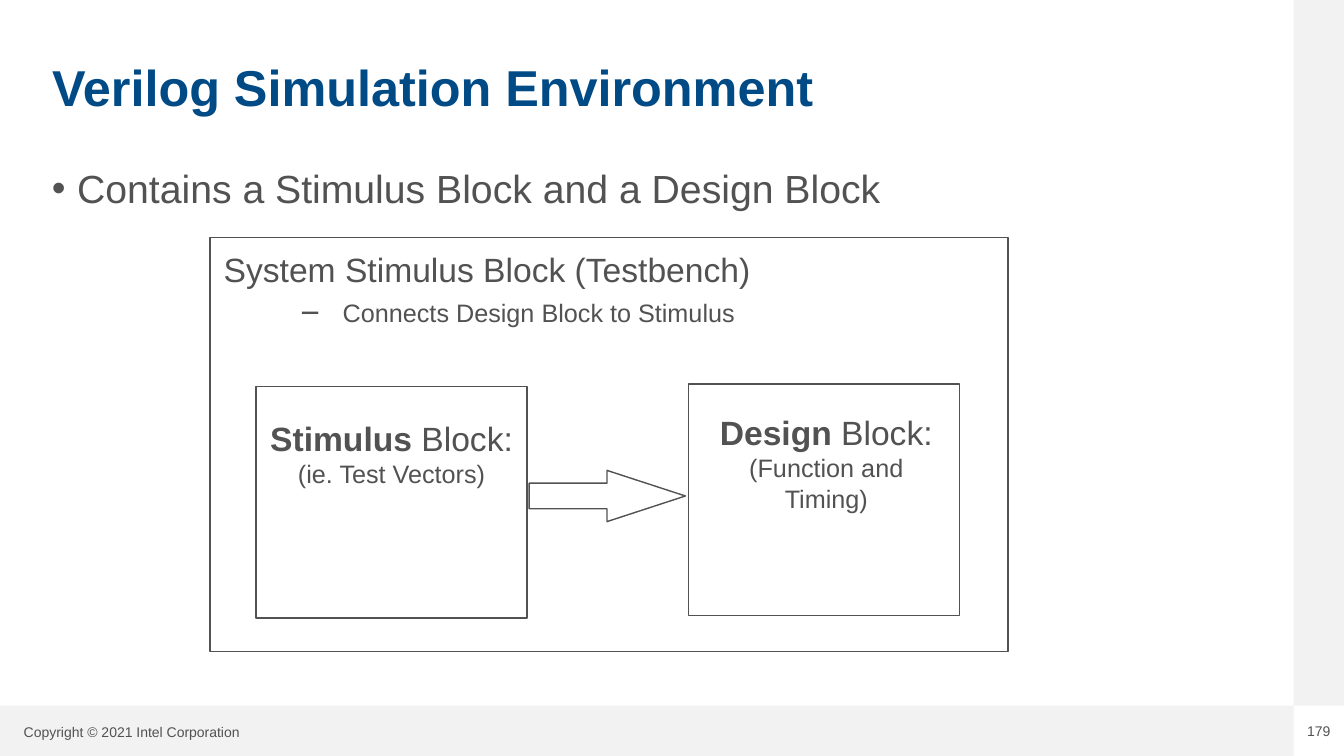
from lxml.etree import SubElement
from pptx import Presentation
from pptx.dml.color import RGBColor
from pptx.enum.shapes import MSO_SHAPE
from pptx.enum.text import MSO_ANCHOR, PP_ALIGN
from pptx.oxml.ns import qn
from pptx.util import Inches, Pt

# Content: a paragraph is (runs, size), a run is (text, bold)
TITLE = "Verilog Simulation Environment"
POINT = "Contains a Stimulus Block and a Design Block"
PANEL_TITLE = "System Stimulus Block (Testbench)"
PANEL_NOTE = "Connects Design Block to Stimulus"
COPYRIGHT = "Copyright © 2021 Intel Corporation"
PAGE_NUMBER = "179"
DESIGN = [([("Design", True), (" Block:", False)], 24),
          ([("(Function and", False)], 18),
          ([("Timing)", False)], 18)]
STIMULUS = [([("Stimulus", True), (" Block:", False)], 24),
            ([("(ie. Test Vectors)", False)], 18)]

BLUE = RGBColor(0x00, 0x4A, 0x86)
GRAY = RGBColor(0x52, 0x52, 0x52)
PALE = RGBColor(0xF2, 0xF2, 0xF2)
FONT = "Arial"

# Grid of 32 columns by 18 rows; places are (column, row, columns, rows)
COLUMNS, ROWS = 32, 18
BAND = 1.2
RIGHT, BOTTOM = COLUMNS - BAND, ROWS - BAND
BLOCK_SIZE = (6.45, 5.52)
BLOCKS = [  # block corner, text place, paragraphs
    ((16.4, 9.14), (16.54, 9.7, 6.27, 2.64), DESIGN),
    ((6.1, 9.2), (5.76, 9.84, 7.13, 1.92), STIMULUS),
]

deck = Presentation()
deck.slide_width, deck.slide_height = Inches(13.33), Inches(7.5)
page = deck.slides.add_slide(deck.slide_layouts[5])


def area(column, row, columns, rows):
    wide, high = deck.slide_width / COLUMNS, deck.slide_height / ROWS
    return (round(column * wide), round(row * high),
            round(columns * wide), round(rows * high))


def add_figure(kind, place, fill=None):
    figure = page.shapes.add_shape(kind, *area(*place))
    figure.shadow.inherit = False
    if fill is None:
        figure.fill.background()
        figure.line.color.rgb = GRAY
        figure.line.width = Pt(1)
    else:
        figure.fill.solid()
        figure.fill.fore_color.rgb = fill
        figure.line.fill.background()
    return figure


def style(para, size, color=GRAY, bold=None):
    para.font.name = FONT
    para.font.size = Pt(size)
    para.font.color.rgb = color
    para.font.bold = bold


def add_text(place, paragraphs, align=PP_ALIGN.LEFT, wrap=False):
    box = page.shapes.add_textbox(*area(*place))
    frame = box.text_frame
    frame.word_wrap = wrap
    for index, (runs, size) in enumerate(paragraphs):
        para = frame.add_paragraph() if index else frame.paragraphs[0]
        para.alignment = align
        for text, bold in runs:
            span = para.add_run()
            span.text = text
            if bold:
                span.font.bold = True
        style(para, size)
    return frame


def add_bullet(para, mark, margin, indent, size, percent=100):
    props = para._p.get_or_add_pPr()
    for old in list(props):
        props.remove(old)
    props.set("marL", str(Inches(margin)))
    props.set("indent", str(Inches(indent)))
    color = SubElement(props, qn("a:buClr"))
    SubElement(color, qn("a:srgbClr")).set("val", str(GRAY))
    SubElement(props, qn("a:buSzPct")).set("val", str(percent * 1000))
    SubElement(props, qn("a:buFont")).set("typeface", FONT)
    SubElement(props, qn("a:buChar")).set("char", mark)
    style(para, size)


# Bottom and right bands, footer
add_figure(MSO_SHAPE.RECTANGLE, (0, BOTTOM, RIGHT, BAND), PALE)
add_figure(MSO_SHAPE.RECTANGLE, (RIGHT, 0, BAND, BOTTOM), PALE)
add_text((0.33, 17.1, 6.4, 0.62), [([(COPYRIGHT, False)], 10)])
number = add_text((RIGHT, 17.2, BAND, 0.41), [([(PAGE_NUMBER, False)], 10)],
                  PP_ALIGN.CENTER)
number.margin_left = number.margin_right = 0
number.margin_top = number.margin_bottom = 0

# Title
title = page.shapes.title
title.left, title.top, title.width, title.height = area(1, 0.58, 28.8, 3.14)
title.text_frame.text = TITLE
title.text_frame.vertical_anchor = MSO_ANCHOR.MIDDLE
heading = title.text_frame.paragraphs[0]
heading.alignment = PP_ALIGN.LEFT
heading.line_spacing = 0.9
style(heading, 36, BLUE, True)

# Main point
point = add_text((1, 3.91, 28.8, 1.5), [([(POINT, False)], 28)],
                 wrap=True).paragraphs[0]
add_bullet(point, "•", 0.25, -0.25, 28)
point.line_spacing = 0.9

# Testbench panel with its two blocks
add_figure(MSO_SHAPE.RECTANGLE, (5, 5.66, 19, 9.86))
for corner, text_place, paragraphs in BLOCKS:
    add_figure(MSO_SHAPE.RECTANGLE, corner + BLOCK_SIZE)
    add_text(text_place, paragraphs, PP_ALIGN.CENTER)

arrow = add_figure(MSO_SHAPE.RIGHT_ARROW, (12.6, 11.2, 3.72, 1.22))
arrow.adjustments[0], arrow.adjustments[1] = 0.5, 1.53

# Panel heading and note
panel = add_text((5.09, 5.81, 14.52, 2.16),
                 [([(PANEL_TITLE, False)], 24), ([(PANEL_NOTE, False)], 18)],
                 wrap=True)
note = panel.paragraphs[1]
add_bullet(note, "−", 1.18, -0.42, 18, 133)
note.space_before = Pt(6)

deck.save("out.pptx")
